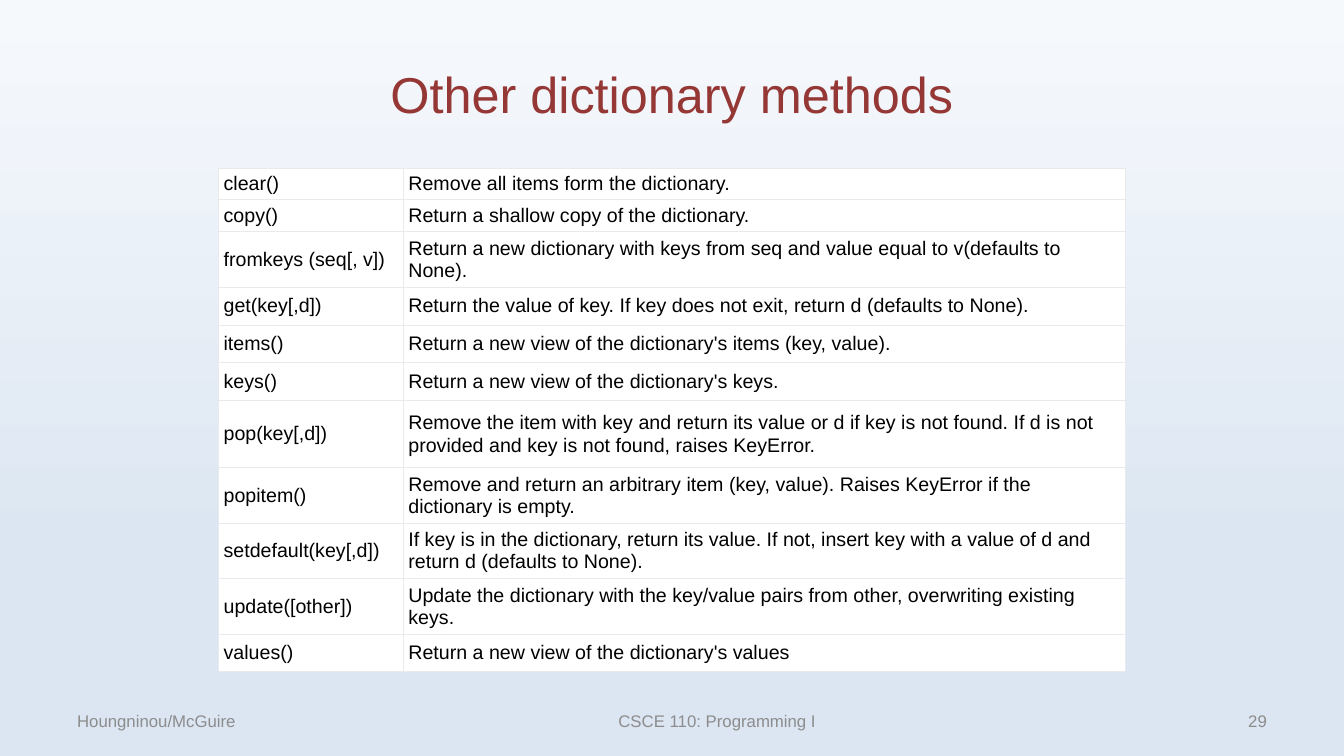
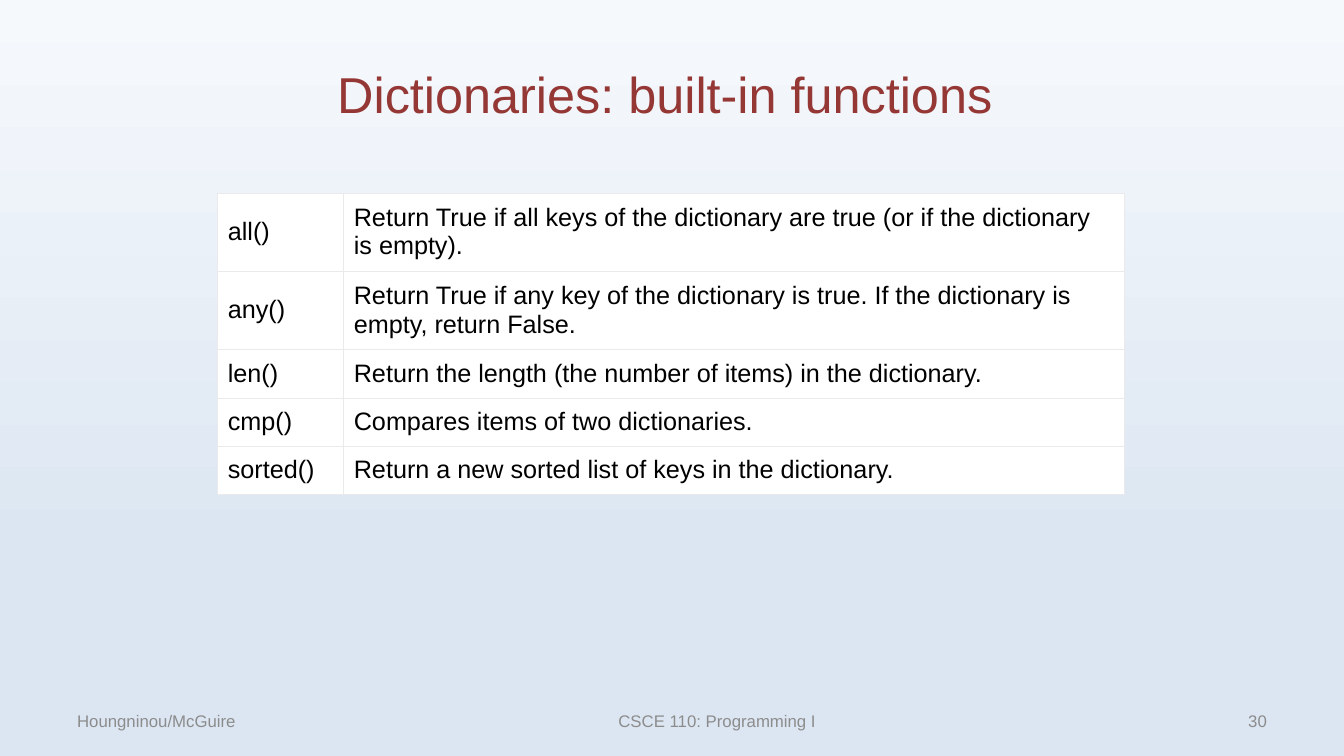
"""Build two slides that list dictionary methods and built-in functions."""
from lxml.etree import SubElement
from pptx import Presentation
from pptx.dml.color import RGBColor
from pptx.enum.text import MSO_ANCHOR, PP_ALIGN
from pptx.oxml.ns import qn
from pptx.util import Pt

PX = 9525
FONT = "Arial"
TITLE_RED = RGBColor(0x95, 0x37, 0x35)
FOOTER_GRAY = RGBColor(0x8C, 0x8C, 0x8C)
BLACK = RGBColor(0, 0, 0)
WHITE = RGBColor(0xFF, 0xFF, 0xFF)
BORDER_GRAY = RGBColor(0xEA, 0xEA, 0xEC)
SKY_TOP = RGBColor(0xF6, 0xF9, 0xFC)
SKY_BOTTOM = RGBColor(0xDC, 0xE6, 0xF2)

METHODS = [
    ("clear()", "Remove all items form the dictionary.", 30),
    ("copy()", "Return a shallow copy of the dictionary.", 30),
    ("fromkeys (seq[, v])", "Return a new dictionary with keys from seq and value equal to v(defaults to None).", 51),
    ("get(key[,d])", "Return the value of key. If key does not exit, return d (defaults to None).", 36),
    ("items()", "Return a new view of the dictionary's items (key, value).", 36),
    ("keys()", "Return a new view of the dictionary's keys.", 36),
    ("pop(key[,d])", "Remove the item with key and return its value or d if key is not found. "
     "If d is not provided and key is not found, raises KeyError.", 64),
    ("popitem()", "Remove and return an arbitrary item (key, value). "
     "Raises KeyError if the dictionary is empty.", 51),
    ("setdefault(key[,d])", "If key is in the dictionary, return its value. "
     "If not, insert key with a value of d and return d (defaults to None).", 51),
    ("update([other])", "Update the dictionary with the key/value pairs from other, overwriting existing keys.", 51),
    ("values()", "Return a new view of the dictionary's values", 36),
]
FUNCTIONS = [
    ("all()", "Return True if all keys of the dictionary are true (or if the dictionary is empty).", 73),
    ("any()", "Return True if any key of the dictionary is true. If the dictionary is empty, return False.", 73),
    ("len()", "Return the length (the number of items) in the dictionary.", 46),
    ("cmp()", "Compares items of two dictionaries.", 46),
    ("sorted()", "Return a new sorted list of keys in the dictionary.", 46),
]
PAGES = [
    dict(title="Other dictionary methods", number="29", rows=METHODS, left=208, top=160,
         columns=(176, 688), size=14, margins=(5, 5, 4, 4)),
    dict(title="Dictionaries: built-in functions ", number="30", rows=FUNCTIONS, left=207, top=184,
         columns=(120, 744), size=18, margins=(10, 10, 8, 9)),
]


def write(frame, text, size, color, align=PP_ALIGN.LEFT):
    frame.word_wrap = True
    para = frame.paragraphs[0]
    para.alignment = align
    span = para.add_run()
    span.text = text
    span.font.name = FONT
    span.font.size = Pt(size)
    span.font.color.rgb = color


def format_cell(cell, margins):
    cell.vertical_anchor = MSO_ANCHOR.MIDDLE
    cell.margin_left, cell.margin_right, cell.margin_top, cell.margin_bottom = (
        margin * PX for margin in margins)
    properties = cell._tc.get_or_add_tcPr()
    for side in ("a:lnL", "a:lnR", "a:lnT", "a:lnB"):
        line = SubElement(properties, qn(side), w=str(Pt(0.75)))
        solid = SubElement(line, qn("a:solidFill"))
        SubElement(solid, qn("a:srgbClr"), val=str(BORDER_GRAY))
    cell.fill.solid()
    cell.fill.fore_color.rgb = WHITE


deck = Presentation()
deck.slide_width, deck.slide_height = 1280 * PX, 720 * PX

sky = deck.slide_master.background.fill
sky.gradient()
sky.gradient_angle = 270
for stop, color, position in zip(sky.gradient_stops, (SKY_TOP, SKY_BOTTOM), (0, 0.73)):
    stop.color.rgb = color
    stop.position = position

for content in PAGES:
    page = deck.slides.add_slide(deck.slide_layouts[6])

    labels = [
        (content["title"], 64, 29, 1152, 120, 36, TITLE_RED, PP_ALIGN.CENTER),
        ("Houngninou/McGuire", 64, 667, 299, 38, 12, FOOTER_GRAY, PP_ALIGN.LEFT),
        ("CSCE 110: Programming I", 438, 667, 490, 38, 12, FOOTER_GRAY, PP_ALIGN.CENTER),
        (content["number"], 917, 667, 299, 38, 12, FOOTER_GRAY, PP_ALIGN.RIGHT),
    ]
    for text, left, top, width, height, size, color, align in labels:
        box = page.shapes.add_textbox(left * PX, top * PX, width * PX, height * PX)
        box.text_frame.vertical_anchor = MSO_ANCHOR.MIDDLE
        write(box.text_frame, text, size=size, color=color, align=align)

    rows, columns = content["rows"], content["columns"]
    total_height = sum(height for _, _, height in rows)
    table = page.shapes.add_table(len(rows), len(columns), content["left"] * PX, content["top"] * PX,
                                  sum(columns) * PX, total_height * PX).table
    table.first_row = table.horz_banding = False
    for column, width in zip(table.columns, columns):
        column.width = width * PX
    for row, (name, meaning, height) in zip(table.rows, rows):
        row.height = height * PX
        for cell, text in zip(row.cells, (name, meaning)):
            format_cell(cell, content["margins"])
            write(cell.text_frame, text, size=content["size"], color=BLACK)

deck.save("out.pptx")
